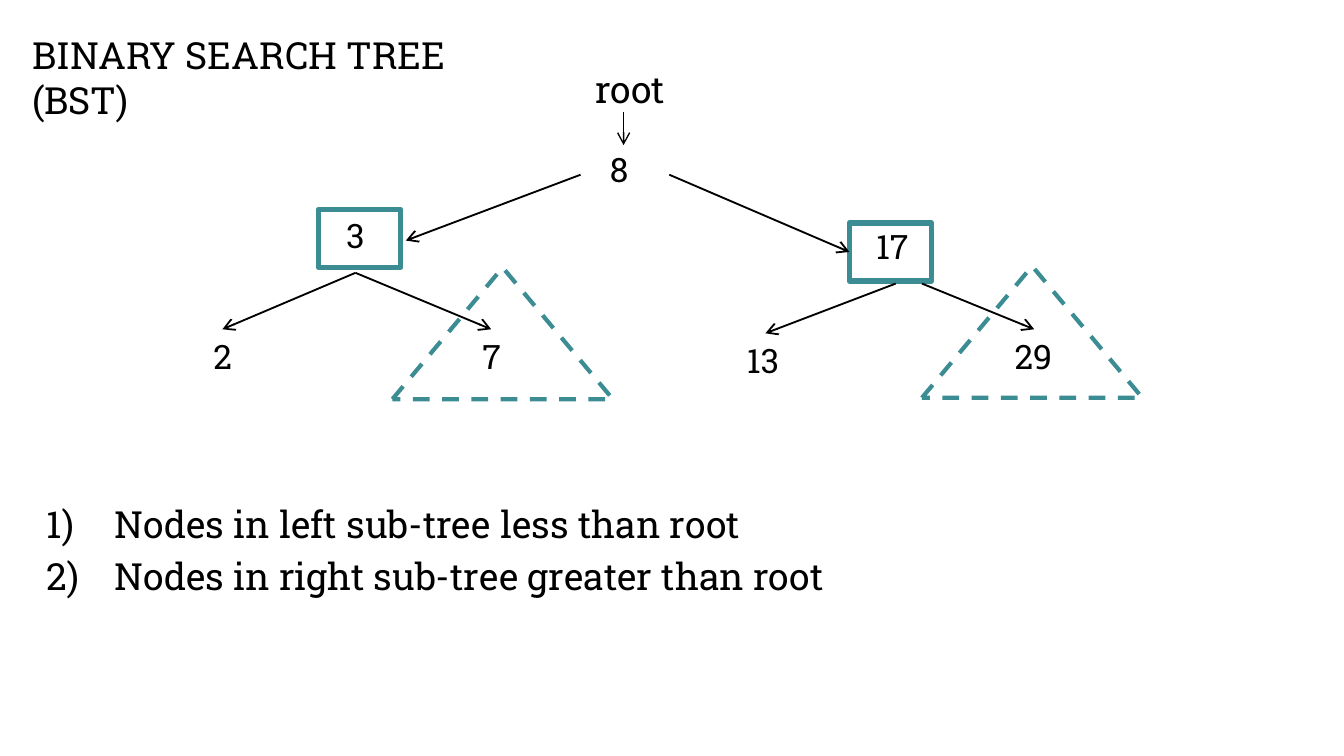
"""Draw a binary search tree and the two rules of its order."""
from typing import NamedTuple

from lxml.etree import SubElement
from pptx import Presentation
from pptx.dml.color import RGBColor
from pptx.enum.dml import MSO_LINE_DASH_STYLE as Dash
from pptx.enum.shapes import MSO_CONNECTOR as Conn, MSO_SHAPE as Kind
from pptx.enum.text import MSO_ANCHOR as Anchor, MSO_AUTO_SIZE as Fit, PP_ALIGN as Align
from pptx.oxml.ns import qn
from pptx.util import Inches, Pt

BLACK = RGBColor(0x00, 0x00, 0x00)
TEAL = RGBColor(0x3C, 0x8C, 0x93)
FACE = "Roboto Slab"
WIDTH = Inches(10)
HEIGHT = WIDTH * 9 // 16
CELL = WIDTH // 100
ROWS = 4.8
TOP, LEFT, BASE, RIGHT = range(4)


class Label(NamedTuple):
    text: str
    col: float
    row: float
    cols: float = 3.3
    size: int = 18


class Frame(NamedTuple):
    kind: Kind
    col: float
    row: float
    cols: float
    rows: float
    width: float


class Joint(NamedTuple):
    name: str
    side: int


class Arrow(NamedTuple):
    start: tuple
    end: tuple
    width: float = 1


LABELS = [
    Label("2", 14.9, 24.5),
    Label("3", 24.8, 15.5),
    Label("7", 34.9, 24.5),
    Label("8", 44.4, 10.6),
    Label("13", 54.6, 24.8, 4.7),
    Label("17", 64.2, 16.3, 4.9),
    Label("29", 74.5, 24.5, 4.9),
    Label("root", 43.3, 4.4, 10.2, 20),
]
BOXES = {
    "box 3": Frame(Kind.RECTANGLE, 23.7, 15.6, 6.1, 4.3, 3),
    "box 17": Frame(Kind.RECTANGLE, 63.2, 16.6, 6.1, 4.3, 3),
}
TREES = [
    Frame(Kind.ISOSCELES_TRIANGLE, col, row, 16.4, 9.8, 2.25)
    for col, row in ((68.6, 19.8), (29.2, 19.9))
]
ARROWS = [
    Arrow((46.4, 8.3), (46.4, 10.8), 0.75),
    Arrow((43.2, 13), (30.2, 17.9)),
    Arrow((49.8, 13), Joint("box 17", LEFT)),
    Arrow(Joint("3", BASE), Joint("2", TOP)),
    Arrow(Joint("3", BASE), Joint("7", TOP)),
    Arrow(Joint("17", BASE), Joint("13", TOP)),
    Arrow((68.6, 21.1), Joint("29", TOP)),
]
RULES = [
    "Nodes in left sub-tree less than root",
    "Nodes in right sub-tree greater than root",
]


def grid(*units: float) -> list[int]:
    return [round(unit * CELL) for unit in units]


def style(para, size: int) -> None:
    para.alignment = Align.LEFT
    font = para.font
    font.name, font.size = FACE, Pt(size)
    font.color.rgb = BLACK


def add_label(slide, label: Label):
    box = slide.shapes.add_textbox(*grid(label.col, label.row, label.cols, ROWS))
    box.text_frame.word_wrap = True
    box.text_frame.text = label.text
    style(box.text_frame.paragraphs[0], label.size)
    return box


def add_frame(slide, frame: Frame):
    shape = slide.shapes.add_shape(frame.kind, *grid(*frame[1:5]))
    shape.shadow.inherit = False
    shape.fill.background()
    shape.line.color.rgb = TEAL
    shape.line.width = Pt(frame.width)
    if frame.kind == Kind.ISOSCELES_TRIANGLE:
        shape.line.dash_style = Dash.DASH
    return shape


def add_arrow(slide, arrow: Arrow, parts: dict) -> None:
    line = slide.shapes.add_connector(Conn.STRAIGHT, 0, 0, 0, 0)
    start, end = arrow.start, arrow.end
    if isinstance(start, Joint):
        line.begin_connect(parts[start.name], start.side)
    else:
        line.begin_x, line.begin_y = grid(*start)
    if isinstance(end, Joint):
        line.end_connect(parts[end.name], end.side)
    else:
        line.end_x, line.end_y = grid(*end)
    line.line.color.rgb = BLACK
    line.line.width = Pt(arrow.width)
    SubElement(line.line._get_or_add_ln(), qn("a:tailEnd"), type="arrow")
    SubElement(line._element.spPr, qn("a:effectLst"))


def add_title(slide, text: str) -> None:
    title = slide.shapes.title
    title.left, title.top, title.width, title.height = grid(1.4, 1.9, 38.8, ROWS)
    frame = title.text_frame
    frame.text = text
    frame.word_wrap = True
    frame.auto_size = Fit.NONE
    frame.vertical_anchor = Anchor.TOP
    style(frame.paragraphs[0], 20)


def add_rules(slide, rules: list[str]) -> None:
    frame = slide.shapes.add_textbox(*grid(2.5, 36.8, 67.1, ROWS)).text_frame
    frame.word_wrap = True
    frame.text = "\n".join(rules)
    for rank, para in enumerate(frame.paragraphs):
        props = para._p.get_or_add_pPr()
        props.set("marL", str(Inches(0.5)))
        props.set("indent", str(-Inches(0.5)))
        if rank:
            para.space_before = Pt(4)
        SubElement(props, qn("a:buFont"), typeface=FACE)
        SubElement(props, qn("a:buAutoNum"), type="arabicParenR")
        style(para, 20)


def main() -> None:
    deck = Presentation()
    deck.slide_width, deck.slide_height = WIDTH, HEIGHT
    slide = deck.slides.add_slide(deck.slide_layouts[5])
    add_title(slide, "BINARY SEARCH TREE (BST)")
    parts = {label.text: add_label(slide, label) for label in LABELS}
    parts |= {name: add_frame(slide, box) for name, box in BOXES.items()}
    for arrow in ARROWS:
        add_arrow(slide, arrow, parts)
    for tree in TREES:
        add_frame(slide, tree)
    add_rules(slide, RULES)
    deck.save("out.pptx")


if __name__ == "__main__":
    main()
